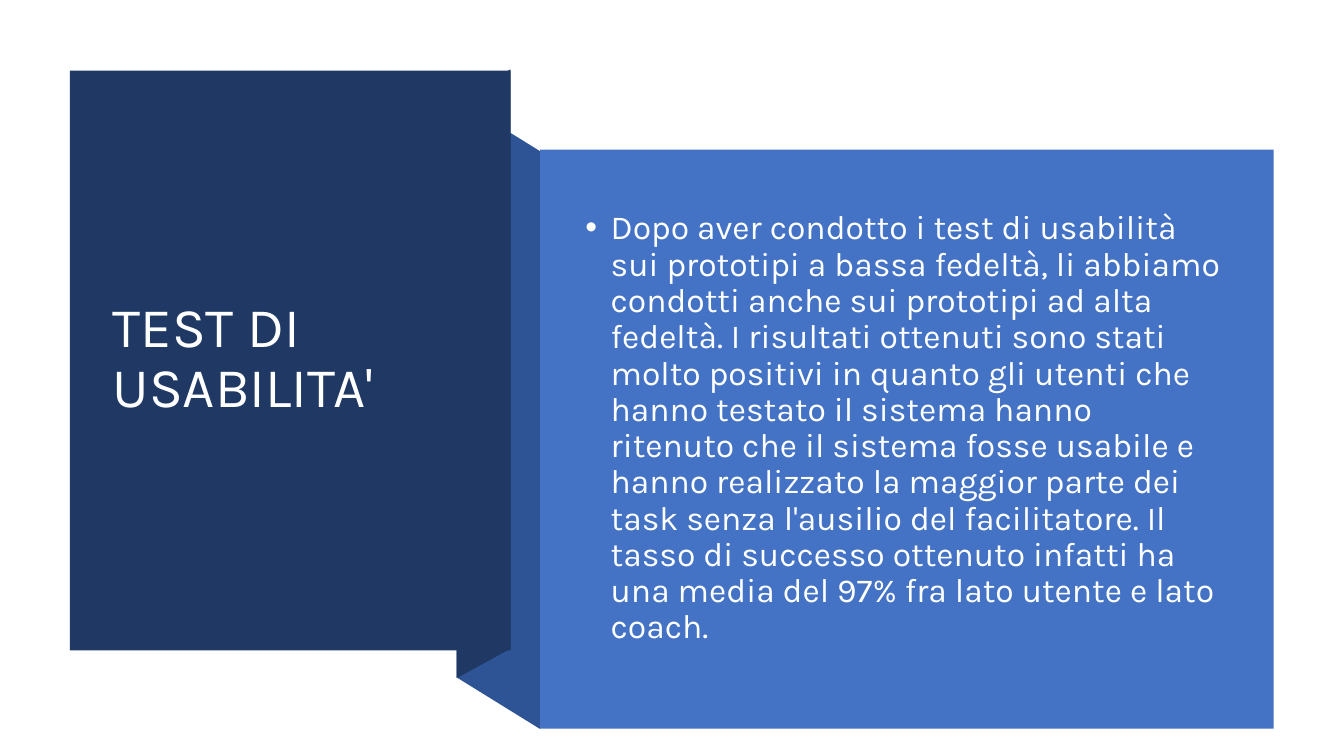
from lxml import etree
from pptx import Presentation
from pptx import util as u
from pptx.dml.color import RGBColor
from pptx.enum import shapes, text
from pptx.oxml import ns

NAVY, FOLD, BLUE = "1F3864", "2F5496", "4472C4"
WHITE, PALE = "FFFFFF", "FEFFFF"
TITLE = "TEST DI USABILITA'"
BODY = (
    "Dopo aver condotto i test di usabilità sui prototipi a bassa fedeltà, "
    "li abbiamo condotti anche sui prototipi ad alta fedeltà. I risultati "
    "ottenuti sono stati molto positivi in quanto gli utenti che hanno testato "
    "il sistema hanno ritenuto che il sistema fosse usabile e hanno realizzato "
    "la maggior parte dei task senza l'ausilio del facilitatore. Il tasso di "
    "successo ottenuto infatti ha una media del 97% fra lato utente e lato coach."
)


def color(code):
    return RGBColor.from_string(code)


def paint(shape, code):
    shape.shadow.inherit = False
    shape.fill.solid()
    shape.fill.fore_color.rgb = color(code)
    shape.line.fill.background()


def panel(slide, box, code):
    rect = shapes.MSO_SHAPE.RECTANGLE
    paint(slide.shapes.add_shape(rect, *map(u.Cm, box)), code)


def fold(slide, left, right, rise, code):
    """Slanted strip between two upright edges, each given as x, top."""
    (x1, y1), (x2, y2) = left, right
    points = [(x1, y1), (x2, y2), (x2, y2 + rise), (x1, y1 + rise)]
    points = [(u.Cm(x), u.Cm(y)) for x, y in points]
    form = slide.shapes.build_freeform(*points[0], scale=1.0)
    form.add_line_segments(points[1:], close=True)
    paint(form.convert_to_shape(), code)


def label(slide, box, words, size, code):
    frame = slide.shapes.add_textbox(*map(u.Cm, box)).text_frame
    look = {"word_wrap": True, "vertical_anchor": text.MSO_ANCHOR.MIDDLE}
    for name, value in look.items():
        setattr(frame, name, value)
    para = frame.paragraphs[0]
    para.line_spacing = 0.9
    run = para.add_run()
    run.text = words
    for name, value in {"name": "Karla", "size": u.Pt(size)}.items():
        setattr(run.font, name, value)
    run.font.color.rgb = color(code)
    return para


def bullet(para, indent):
    props = para._p.get_or_add_pPr()
    props.set("marL", str(u.Cm(indent)))
    props.set("indent", str(-u.Cm(indent)))
    etree.SubElement(props, ns.qn("a:buFont")).set("typeface", "Arial")
    etree.SubElement(props, ns.qn("a:buChar")).set("char", "•")


def main():
    deck = Presentation()
    deck.slide_width, deck.slide_height = u.Cm(33.87), u.Cm(19.05)
    slide = deck.slides.add_slide(deck.slide_layouts[6])

    # Ribbon folds behind the panels
    fold(slide, (11.51, 2.51), (13.61, 3.81), 14.56, FOLD)
    fold(slide, (11.51, 2.49), (12.86, 1.75), 14.6, NAVY)

    # Title panel
    panel(slide, (1.76, 1.78, 11.11, 14.61), NAVY)
    label(slide, (2.59, 2.72, 9.42, 12.67), TITLE, 40, WHITE)

    # Body panel
    panel(slide, (13.61, 3.77, 18.49, 14.59), BLUE)
    para = label(slide, (14.5, 4.78, 16.54, 12.04), BODY, 24, PALE)
    bullet(para, 0.64)

    deck.save("out.pptx")


if __name__ == "__main__":
    main()
